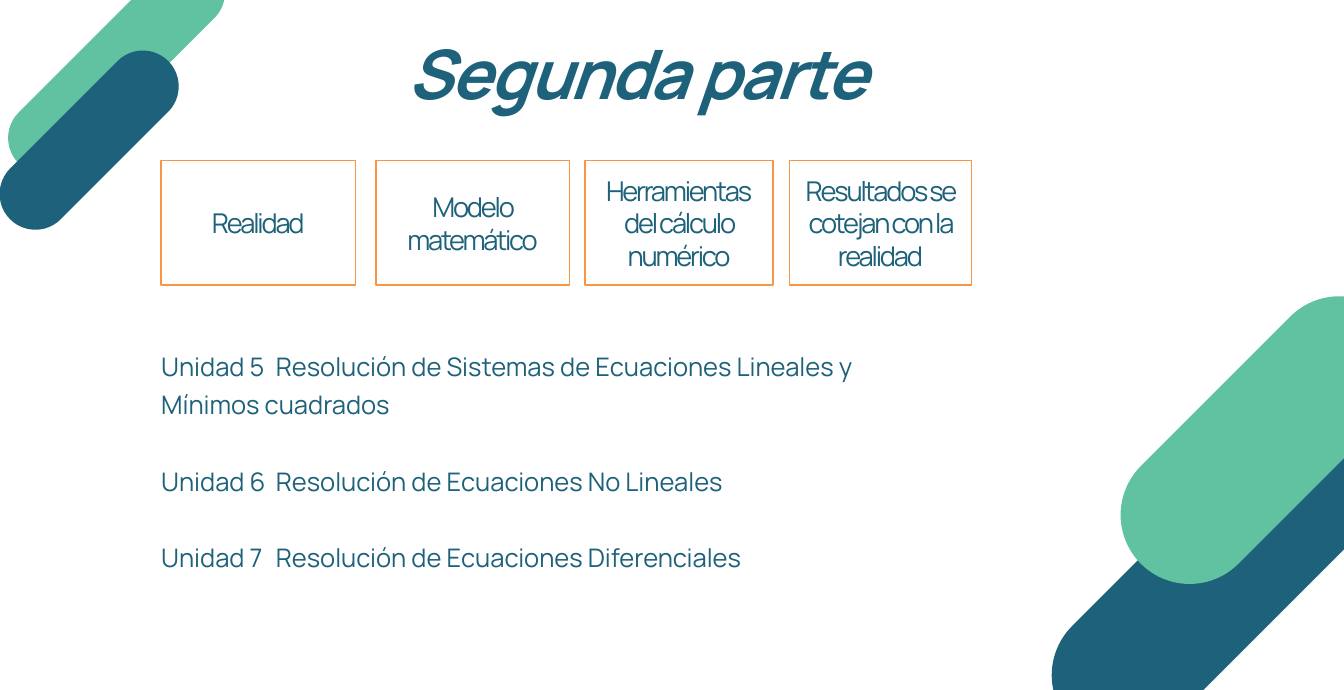
from lxml.etree import SubElement
from pptx import Presentation
from pptx.dml.color import RGBColor
from pptx.enum.shapes import MSO_SHAPE
from pptx.enum.text import MSO_ANCHOR, MSO_AUTO_SIZE, PP_ALIGN
from pptx.oxml.ns import qn
from pptx.util import Cm, Pt

FONT = "Manrope"
BLUE = RGBColor(0x1D, 0x61, 0x7A)
GREEN = RGBColor(0x61, 0xC2, 0xA2)
ORANGE = RGBColor(0xF7, 0x96, 0x46)
WHITE = RGBColor(0xFF, 0xFF, 0xFF)

# left, top, length, thickness in cm
BARS = [
    (41.71, 20.57, 18.54, 5.72, BLUE),
    (45.16, 15.37, 14.48, 5.72, GREEN),
    (-0.91, 1.22, 11.48, 2.97, GREEN),
    (-0.94, 4.32, 9.27, 2.97, BLUE),
]
# left, width in cm
STEPS = [
    (6.68, 8.05, "Realidad"),
    (15.57, 8.03, "Modelo matemático"),
    (24.26, 7.77, "Herramientas\ndel cálculo numérico"),
    (32.72, 7.54, "Resultados se cotejan con la realidad"),
]
UNITS = [
    "Unidad 5\tResolución de Sistemas de Ecuaciones Lineales y\vMínimos cuadrados",
    "Unidad 6\tResolución de Ecuaciones No Lineales",
    "Unidad 7\tResolución de Ecuaciones Diferenciales",
]


def set_frame(tf, side=0, anchor=MSO_ANCHOR.TOP):
    tf.word_wrap = True
    tf.auto_size = MSO_AUTO_SIZE.NONE
    tf.margin_left = tf.margin_right = Cm(side)
    tf.margin_top = tf.margin_bottom = 0
    tf.vertical_anchor = anchor


def format_text(tf, size, align, spacing=0, bold=False, italic=False):
    for p in tf.paragraphs:
        p.alignment = align
        for r in p.runs:
            r.font.name = FONT
            r.font.size = Pt(size)
            r.font.bold = bold
            r.font.italic = italic
            r.font.color.rgb = BLUE
            if spacing:
                r.font._element.set("spc", str(round(spacing * 100)))


def add_tab_stop(p, pos):
    tabs = SubElement(p._p.get_or_add_pPr(), qn("a:tabLst"))
    SubElement(tabs, qn("a:tab"), pos=str(pos), algn="l")


def add_bar(s, left, top, length, thickness, color):
    sp = s.shapes.add_shape(MSO_SHAPE.ROUNDED_RECTANGLE,
                            Cm(left), Cm(top), Cm(length), Cm(thickness))
    sp.adjustments[0] = 0.5
    sp.rotation = 315
    sp.shadow.inherit = False
    sp.fill.solid()
    sp.fill.fore_color.rgb = color
    sp.line.fill.background()


def add_title(s, text):
    sp = s.shapes.title
    sp.left, sp.top, sp.width, sp.height = Cm(7.75), Cm(1.6), Cm(37.34), Cm(3.2)
    tf = sp.text_frame
    set_frame(tf)
    tf.text = text
    tf.paragraphs[0].line_spacing = Pt(88)
    format_text(tf, 80, PP_ALIGN.CENTER, -2.4, bold=True, italic=True)


def add_step(s, left, width, text):
    sp = s.shapes.add_shape(MSO_SHAPE.RECTANGLE,
                            Cm(left), Cm(6.65), Cm(width), Cm(5.16))
    sp.shadow.inherit = False
    sp.fill.solid()
    sp.fill.fore_color.rgb = WHITE
    sp.line.color.rgb = ORANGE
    sp.line.width = Pt(2)
    tf = sp.text_frame
    set_frame(tf, side=0.48, anchor=MSO_ANCHOR.MIDDLE)
    tf.text = text
    format_text(tf, 32, PP_ALIGN.CENTER, -2.6)


def add_units(s, units):
    tf = s.shapes.add_textbox(Cm(6.68), Cm(14.2), Cm(33.58), Cm(9.63)).text_frame
    set_frame(tf)
    for i, unit in enumerate(units):
        p = tf.add_paragraph() if i else tf.paragraphs[0]
        p.text = unit
        p.line_spacing = Pt(45)
        p.space_before = Pt(45 if i else 0)
        add_tab_stop(p, Cm(4.75))
    format_text(tf, 30, PP_ALIGN.LEFT)


def main():
    prs = Presentation()
    prs.slide_width, prs.slide_height = Cm(55.7), Cm(28.58)
    s = prs.slides.add_slide(prs.slide_layouts[5])

    # Corner decoration
    for bar in BARS:
        add_bar(s, *bar)

    # Title, steps and units
    add_title(s, "Segunda parte")
    for step in STEPS:
        add_step(s, *step)
    add_units(s, UNITS)

    prs.save("out.pptx")


if __name__ == "__main__":
    main()
